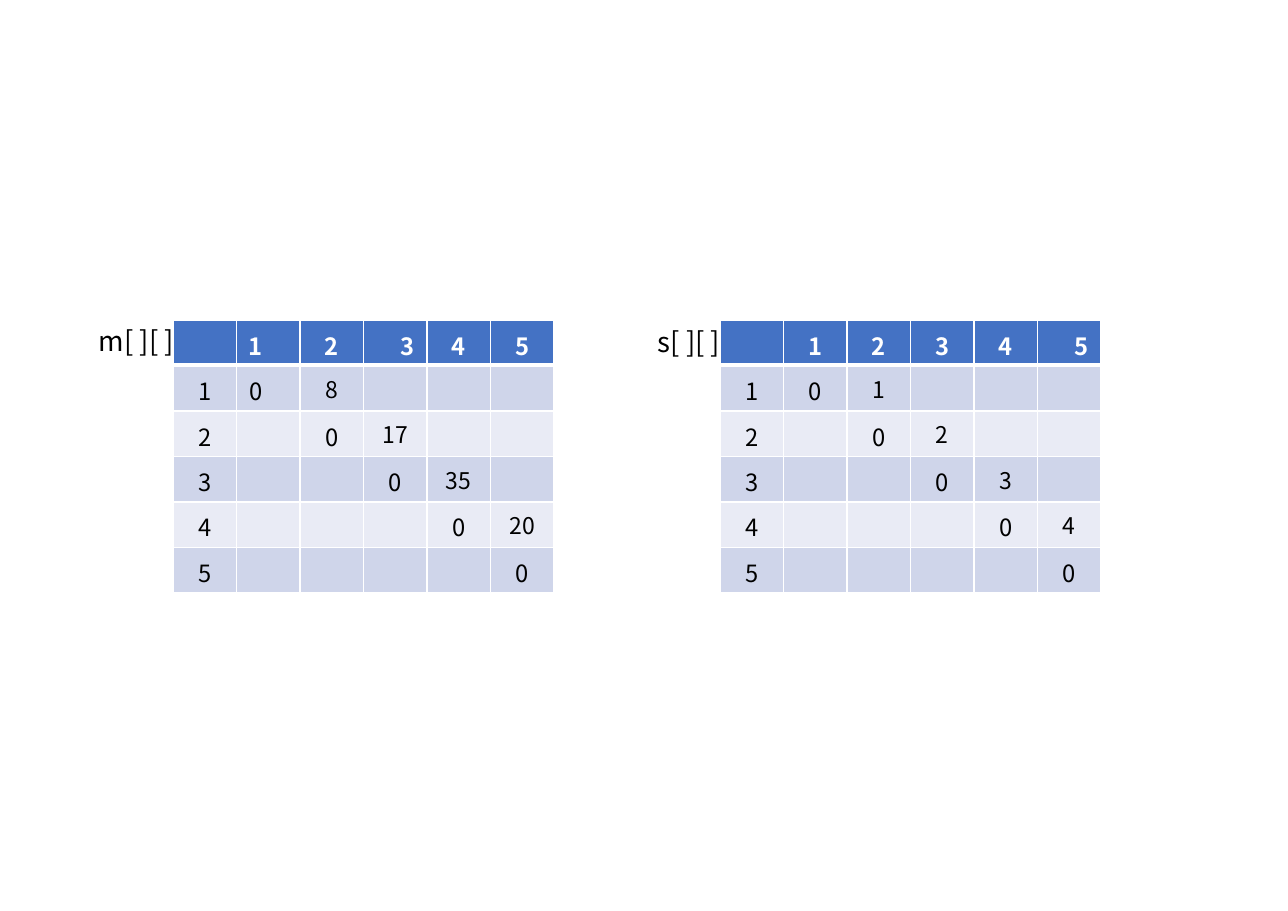
from lxml.etree import SubElement
from pptx import Presentation
from pptx.dml.color import RGBColor
from pptx.enum.text import MSO_ANCHOR, PP_ALIGN
from pptx.oxml.ns import qn
from pptx.util import Pt

PX = 8298
THEME = {
    "font": "Noto Sans CJK SC",
    "header": "4472C4", "odd": "CFD5EA", "even": "E9EBF5",
    "light": "FFFFFF", "dark": "000000",
    "label": 18, "index": 15.5, "value": 15,
}
SIZE = 6
MATRICES = [
    {"label": "m[ ][ ]", "label_at": (88, 319), "left": 173,
     "costs": [8, 17, 35, 20], "shifted_right": 3, "shifted_left": 1},
    {"label": "s[ ][ ]", "label_at": (647, 320), "left": 720,
     "costs": [1, 2, 3, 4], "shifted_right": 5, "shifted_left": None},
]


def style_text(para, size, color, bold=False):
    para.font.name = THEME["font"]
    para.font.size = Pt(size)
    para.font.bold = bold
    para.font.color.rgb = RGBColor.from_string(THEME[color])


def add_borders(cell, row):
    properties = cell._tc.get_or_add_tcPr()
    for side in "LRTB":
        heavy = (row, side) in ((0, "B"), (1, "T"))
        line = SubElement(properties, qn(f"a:ln{side}"), w=str(Pt(3 if heavy else 1)))
        fill = SubElement(line, qn("a:solidFill"))
        SubElement(fill, qn("a:srgbClr"), val=THEME["light"])


deck = Presentation()
deck.slide_width, deck.slide_height = 1288 * PX, 911 * PX
page = deck.slides.add_slide(deck.slide_layouts[6])

for matrix in MATRICES:
    table = page.shapes.add_table(
        SIZE, SIZE, matrix["left"] * PX, 320 * PX, 381 * PX, 273 * PX).table
    table.first_row = table.horz_banding = False

    for row in range(SIZE):
        for column in range(SIZE):
            cell = table.cell(row, column)
            add_borders(cell, row)
            band = "header" if row == 0 else "odd" if row % 2 else "even"
            cell.fill.solid()
            cell.fill.fore_color.rgb = RGBColor.from_string(THEME[band])
            cell.vertical_anchor = MSO_ANCHOR.MIDDLE

            is_cost = row > 0 and column == row + 1
            cell.margin_top = 0 if is_cost else 4 * PX
            cell.margin_left = cell.margin_right = cell.margin_bottom = 0
            if row == 0 and column == matrix["shifted_right"]:
                cell.margin_left = 25 * PX
            if column == matrix["shifted_left"]:
                cell.margin_right = 25 * PX

            if row == 0 or column == 0:
                value = row + column or ""
            elif row == column:
                value = 0
            else:
                value = matrix["costs"][row - 1] if is_cost else ""

            para = cell.text_frame.paragraphs[0]
            para.text = str(value)
            para.alignment = PP_ALIGN.CENTER
            style_text(para, THEME["value" if is_cost else "index"],
                       "light" if row == 0 else "dark", bold=row == 0)

    left, top = matrix["label_at"]
    box = page.shapes.add_textbox(left * PX, top * PX, 147 * PX, 44 * PX)
    box.text_frame.word_wrap = True
    para = box.text_frame.paragraphs[0]
    para.text = matrix["label"]
    style_text(para, THEME["label"], "dark")

deck.save("out.pptx")
